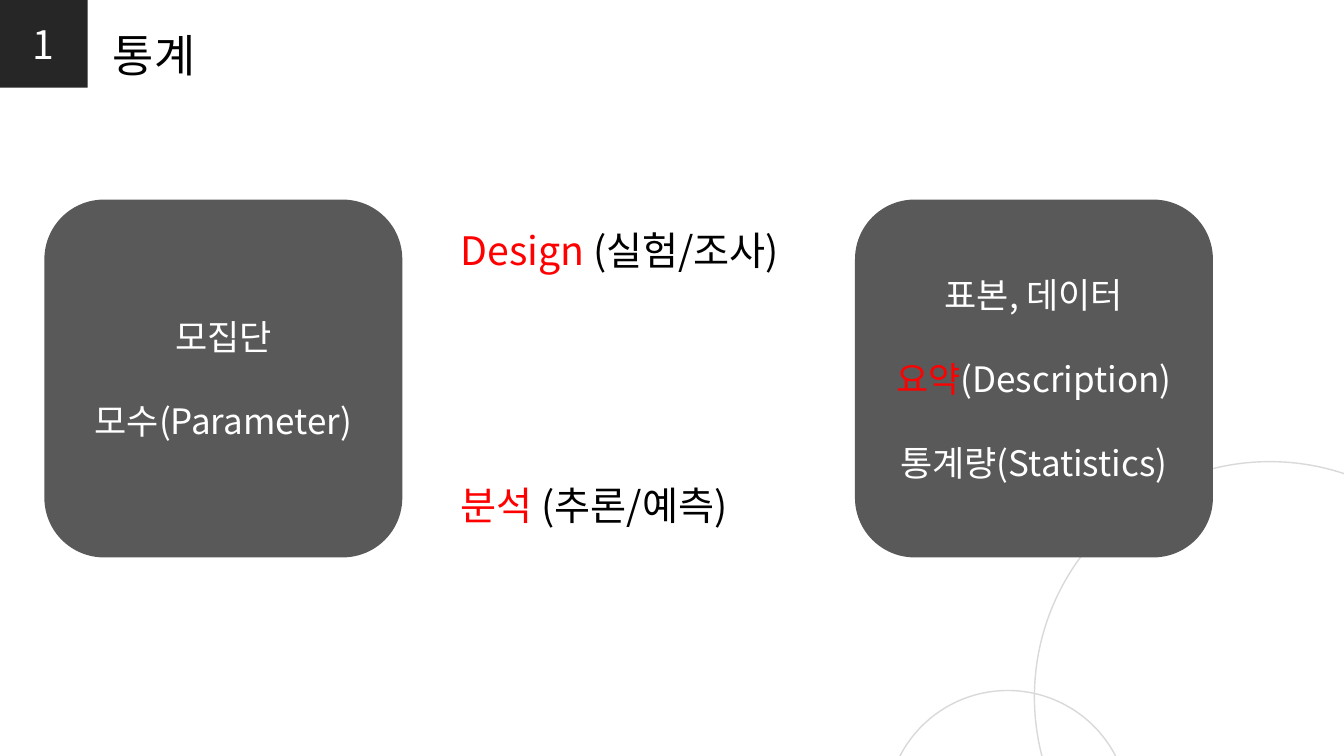
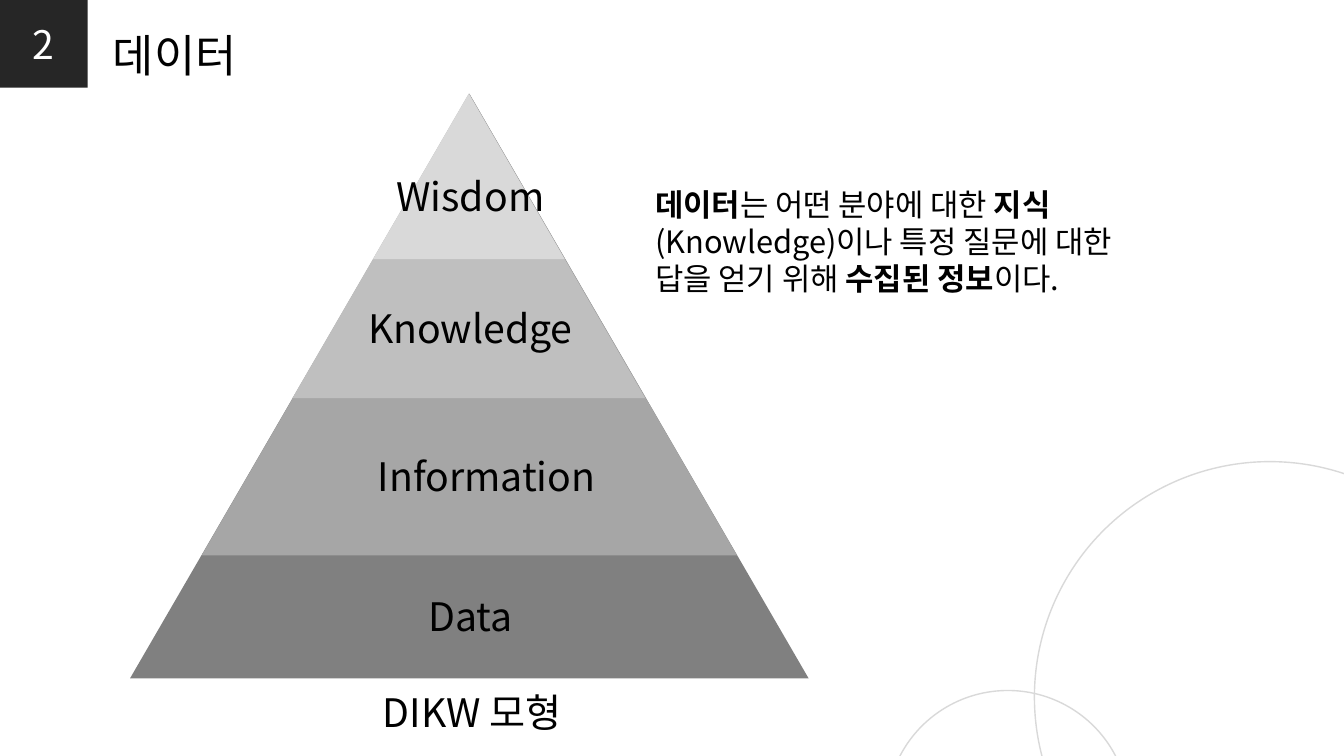
from typing import NamedTuple

from lxml import etree
from pptx import Presentation
from pptx import util as u
from pptx.dml.color import RGBColor
from pptx.enum import shapes, text
from pptx.oxml.ns import qn

PX = 9144  # EMU in one px, 100 px to the inch
FONT = "Noto Sans CJK JP"
HUES = {"ink": "000000", "white": "FFFFFF", "red": "FF0000",
        "badge": "262626", "card": "595959", "ring": "D9D9D9",
        "data": "808080", "info": "A6A6A6", "know": "BFBFBF", "wise": "D9D9D9"}
KIND = shapes.MSO_SHAPE
LEFT, MID = text.PP_ALIGN.LEFT, text.PP_ALIGN.CENTER


class Box(NamedTuple):
    x: int
    y: int
    w: int
    h: int


class Run(NamedTuple):
    words: str
    hue: str = ""
    bold: bool = False


class Card(NamedTuple):
    x: int
    lines: list


class Tier(NamedTuple):
    name: str
    hue: str
    high: int
    x: int
    y: int


RINGS = [Box(1026, 458, 467, 467), Box(879, 685, 241, 241)]
CARDS = [
    Card(44, [[Run("모집단")], [Run("모수(Parameter)")]]),
    Card(848, [[Run("표본, 데이터")],
               [Run("요약", "red"), Run("(Description)")],
               [Run("통계량(Statistics)")]]),
]
STEPS = [(220, [Run("Design", "red"), Run(" (실험/조사)")]),
         (473, [Run("분석 ", "red"), Run("(추론/예측)")])]
TIERS = [  # largest first, all sharing one apex
    Tier("Data", "data", 580, 274, 583),
    Tier("Information", "info", 458, 290, 444),
    Tier("Knowledge", "know", 302, 274, 297),
    Tier("Wisdom", "wise", 164, 274, 166),
]
APEX_X, APEX_Y, SLOPE = 465, 93, 1.16
NOTE = [Run("데이터", bold=True), Run("는 어떤 분야에 대한 "),
        Run("지식", bold=True),
        Run("(Knowledge)이나 특정 질문에 대한 답을 얻기 위해 "),
        Run("수집된 정보", bold=True), Run("이다.")]


def color(hue: str) -> RGBColor:
    return RGBColor.from_string(HUES[hue])


def emu(box: Box) -> list[int]:
    return [n * PX for n in box]


def write(frame, lines: list, *, size: int = 28, hue: str = "ink",
          align=LEFT, gap: int = 0) -> None:
    """Fill a text frame; each line is a list of runs."""
    for i, line in enumerate(lines):
        para = frame.add_paragraph() if i else frame.paragraphs[0]
        para.alignment = align
        para.space_before = u.Pt(gap if i else 0)
        for part in line:
            run = para.add_run()
            run.text = part.words
            font = run.font
            font.size, font.bold, font.name = u.Pt(size), part.bold, FONT
            font.color.rgb = color(part.hue or hue)
            props = run._r.get_or_add_rPr()
            etree.SubElement(props, qn("a:ea"), typeface=FONT)


def label(slide, box: Box, line: list, *, wrap: bool = True, **style) -> None:
    frame = slide.shapes.add_textbox(*emu(box)).text_frame
    frame.word_wrap = wrap
    write(frame, [line], **style)


def shape(slide, kind, box: Box, *, fill: str = "", line: str = ""):
    item = slide.shapes.add_shape(kind, *emu(box))
    item.shadow.inherit = False
    if fill:
        item.fill.solid()
        item.fill.fore_color.rgb = color(fill)
    else:
        item.fill.background()
    if line:
        item.line.color.rgb = color(line)
        item.line.width = u.Pt(1)
    else:
        item.line.fill.background()
    item.text_frame.vertical_anchor = text.MSO_ANCHOR.MIDDLE
    return item


def decorate(slide, layout) -> None:
    """Draw the rings and move them to the shared layout."""
    for ring in RINGS:
        item = shape(slide, KIND.OVAL, ring, line="ring")
        layout.shapes.element.append(item.element)


def start(deck, num: int, title: str):
    """Add a slide with its number badge and title."""
    layout = deck.slide_layouts[6]
    slide = deck.slides.add_slide(layout)
    if num == 1:
        decorate(slide, layout)
    badge = shape(slide, KIND.RECTANGLE, Box(0, 0, 87, 87), fill="badge")
    write(badge.text_frame, [[Run(str(num))]], hue="white", align=MID)
    label(slide, Box(102, 23, 155, 64), [Run(title)], wrap=False, size=32)
    return slide


def stats(deck) -> None:
    slide = start(deck, 1, "통계")
    # Population and sample
    for card in CARDS:
        item = shape(slide, KIND.ROUNDED_RECTANGLE,
                     Box(card.x, 198, 355, 355), fill="card")
        write(item.text_frame, card.lines, size=25, hue="white",
              align=MID, gap=30)
    # Steps between them
    for y, line in STEPS:
        label(slide, Box(447, y, 355, 57), line)


def pyramid(deck) -> None:
    slide = start(deck, 2, "데이터")
    # Nested triangles
    for tier in TIERS:
        wide = round(tier.high * SLOPE)
        shape(slide, KIND.ISOSCELES_TRIANGLE,
              Box(APEX_X - wide // 2, APEX_Y, wide, tier.high), fill=tier.hue)
    # Tier names, caption and definition
    for tier in TIERS:
        label(slide, Box(tier.x, tier.y, 385, 57), [Run(tier.name)], align=MID)
    label(slide, Box(370, 678, 511, 57), [Run("DIKW 모형")])
    label(slide, Box(640, 179, 509, 121), NOTE, size=22)


def main() -> None:
    deck = Presentation()
    deck.slide_width, deck.slide_height = 1333 * PX, 750 * PX
    stats(deck)
    pyramid(deck)
    deck.save("out.pptx")


if __name__ == "__main__":
    main()
